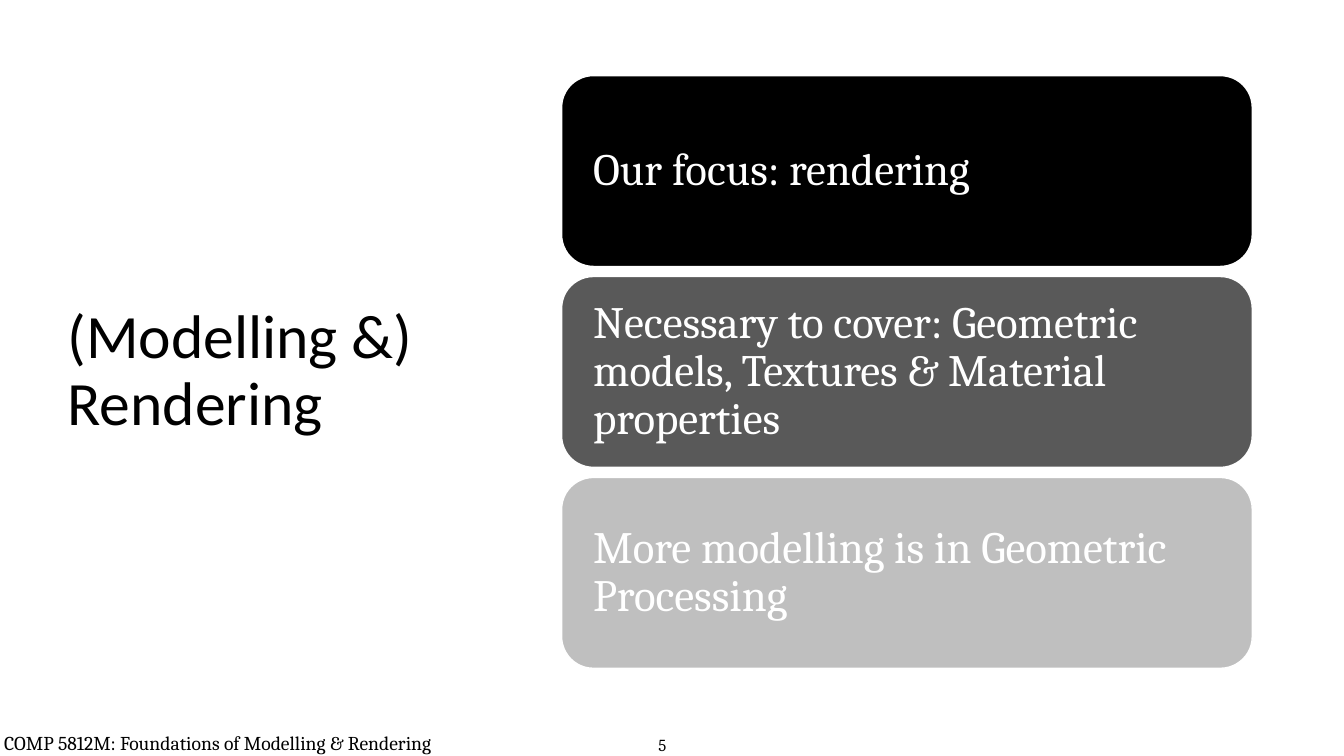
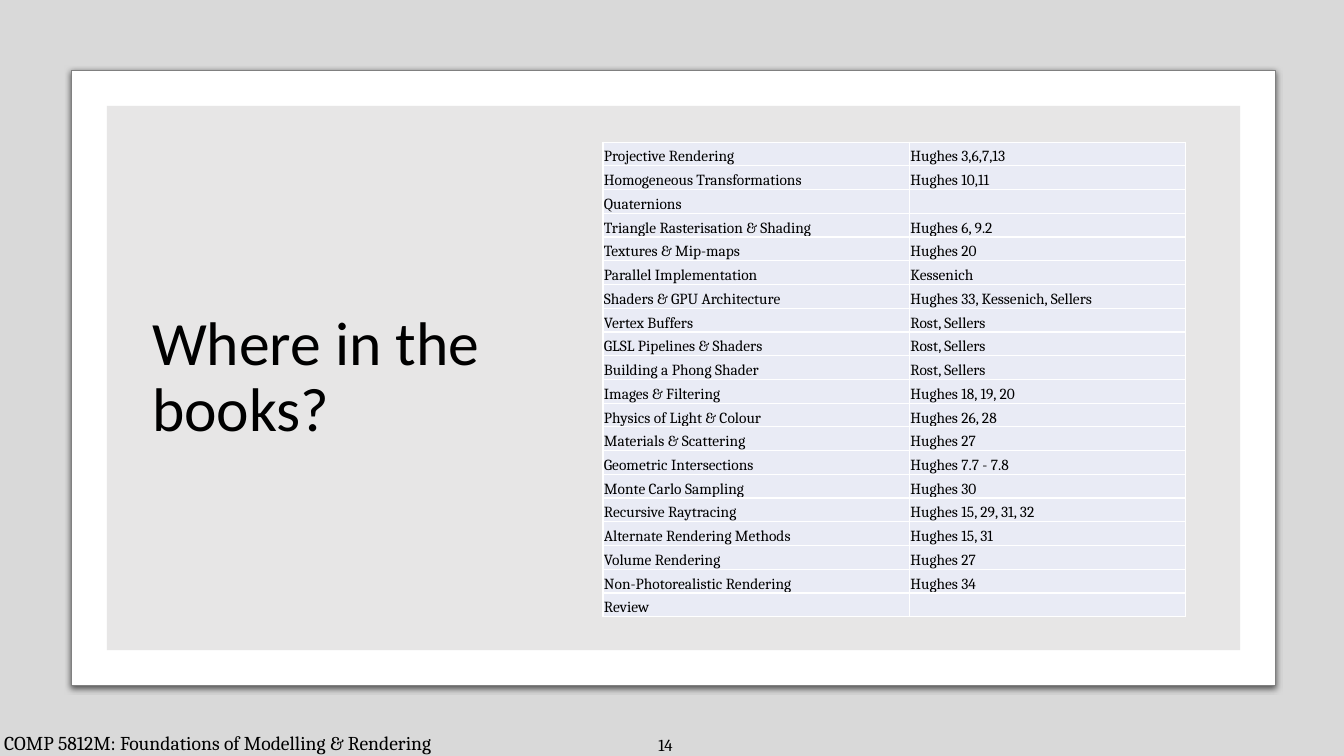
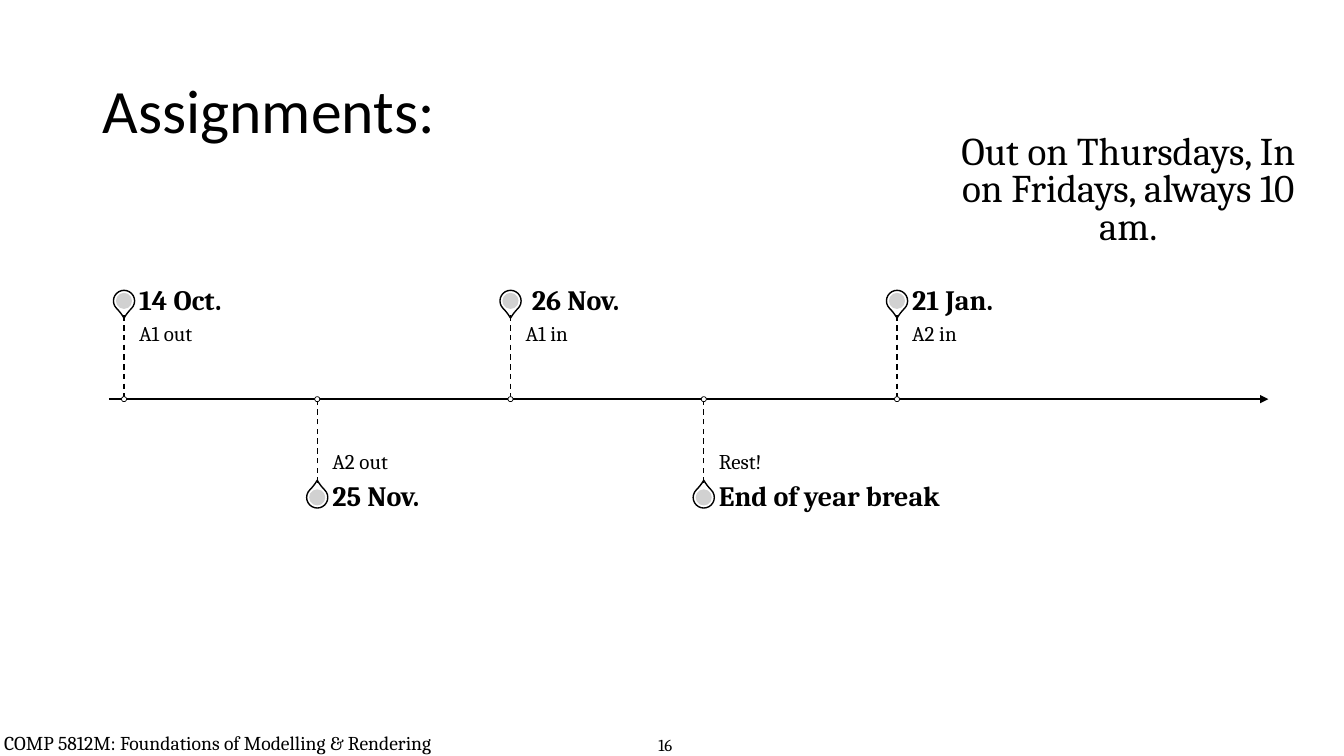
from lxml import etree
from pptx import Presentation
from pptx.dml.color import RGBColor
from pptx.enum.dml import MSO_LINE
from pptx.enum.shapes import MSO_CONNECTOR, MSO_SHAPE
from pptx.enum.text import MSO_ANCHOR, PP_ALIGN
from pptx.oxml import parse_xml
from pptx.oxml.ns import nsdecls, qn
from pptx.util import Inches, Pt

COLORS = {
    "ink": "000000", "paper": "FFFFFF", "dark": "595959", "light": "BFBFBF",
    "panel": "E7E6E6", "outline": "808080", "cell": "E9EBF5", "pin": "CCCCCC",
}
HEADING_FONT, BODY_FONT = "Calibri", "Cambria"
FOOTER = "COMP 5812M: Foundations of Modelling & Rendering"
DEFAULT_INSETS = (0.1, 0.05, 0.1, 0.05)

CARDS = [
    ("Our focus: rendering", "ink"),
    ("Necessary to cover: Geometric models, Textures & Material properties", "dark"),
    ("More modelling is in Geometric Processing", "light"),
]
READINGS = [
    ("Projective Rendering", "Hughes 3,6,7,13"),
    ("Homogeneous Transformations", "Hughes 10,11"),
    ("Quaternions", ""),
    ("Triangle Rasterisation & Shading", "Hughes 6, 9.2"),
    ("Textures & Mip-maps", "Hughes 20"),
    ("Parallel Implementation", "Kessenich"),
    ("Shaders & GPU Architecture", "Hughes 33, Kessenich, Sellers"),
    ("Vertex Buffers", "Rost, Sellers"),
    ("GLSL Pipelines & Shaders", "Rost, Sellers"),
    ("Building a Phong Shader", "Rost, Sellers"),
    ("Images & Filtering", "Hughes 18, 19, 20"),
    ("Physics of Light & Colour", "Hughes 26, 28"),
    ("Materials & Scattering", "Hughes 27"),
    ("Geometric Intersections", "Hughes 7.7 - 7.8"),
    ("Monte Carlo Sampling", "Hughes 30"),
    ("Recursive Raytracing", "Hughes 15, 29, 31, 32"),
    ("Alternate Rendering Methods", "Hughes 15, 31"),
    ("Volume Rendering", "Hughes 27"),
    ("Non-Photorealistic Rendering", "Hughes 34"),
    ("Review", ""),
]
MILESTONES = [
    ("14 Oct.", "A1 out"),
    ("25 Nov.", "A2 out"),
    (" 26 Nov.", "A1 in"),
    ("End of year break", "Rest!"),
    ("21 Jan.", "A2 in"),
]


# Shared helpers
def rgb(name):
    return RGBColor.from_string(COLORS[name])


def inches(*lengths):
    return [Inches(length) for length in lengths]


def write(holder, text, size, color="ink", font=BODY_FONT, bold=False,
          align=PP_ALIGN.LEFT, spacing=None, before=0):
    """Fill a text frame or cell frame with one formatted paragraph."""
    holder.text = text
    paragraph = holder.paragraphs[0]
    paragraph.alignment = align
    paragraph.space_before = Pt(before)
    if spacing:
        paragraph.line_spacing = spacing
    for run in paragraph.runs:
        run.font.name, run.font.size, run.font.bold = font, Pt(size), bold
        run.font.color.rgb = rgb(color)


def set_frame(frame, insets, anchor, wrap=True):
    frame.margin_left, frame.margin_top, frame.margin_right, frame.margin_bottom = inches(*insets)
    frame.vertical_anchor = anchor
    frame.word_wrap = wrap


def add_text(slide, box, text, size, insets=DEFAULT_INSETS,
             anchor=MSO_ANCHOR.TOP, wrap=True, **style):
    frame = slide.shapes.add_textbox(*inches(*box)).text_frame
    set_frame(frame, insets, anchor, wrap)
    write(frame, text, size, **style)


def add_block(slide, kind, box, fill, line=None, width=1, opacity=None):
    shape = slide.shapes.add_shape(kind, *inches(*box))
    shape.shadow.inherit = False
    shape.fill.solid()
    shape.fill.fore_color.rgb = rgb(fill)
    if opacity is not None:
        color = shape._element.spPr.find(qn("a:solidFill"))[0]
        etree.SubElement(color, qn("a:alpha")).set("val", str(opacity * 1000))
    if line:
        shape.line.color.rgb = rgb(line)
        shape.line.width = Pt(width)
    else:
        shape.line.fill.background()
    return shape


def add_line(slide, start, end, width, dash=None):
    line = slide.shapes.add_connector(MSO_CONNECTOR.STRAIGHT, *inches(*start, *end))
    line.line.color.rgb = rgb("ink")
    line.line.width = Pt(width)
    if dash:
        line.line.dash_style = dash
    etree.SubElement(line._element.spPr, qn("a:effectLst"))
    return line


def add_title(slide, box, text):
    add_text(slide, box, text, 44, anchor=MSO_ANCHOR.MIDDLE, font=HEADING_FONT, spacing=0.9)


def add_footer(slide, number):
    add_text(slide, (-0.02, 7.13, 6.31, 0.39), FOOTER, 14, insets=(0.06,) * 4, spacing=Pt(21))
    add_text(slide, (6.49, 7.19, 0.35, 0.33), str(number), 12, insets=(0.04,) * 4,
             anchor=MSO_ANCHOR.MIDDLE, wrap=False, spacing=Pt(19))


# Stack of rounded cards
def add_cards(slide, box, cards, gap=0.1):
    left, top, width, height = box
    card_height = (height - gap * (len(cards) - 1)) / len(cards)
    for index, (text, fill) in enumerate(cards):
        card_top = top + index * (card_height + gap)
        card = add_block(slide, MSO_SHAPE.ROUNDED_RECTANGLE,
                         (left, card_top, width, card_height), fill, "paper")
        set_frame(card.text_frame, (0.22,) * 4, MSO_ANCHOR.MIDDLE)
        write(card.text_frame, text, 32, "paper", spacing=0.9)


# Framed panel on a tinted ground
def add_framed_panel(slide, box, border=0.35):
    left, top, width, height = box
    add_block(slide, MSO_SHAPE.RECTANGLE, (0, 0, 13.33, 7.5), "ink", opacity=15)
    frame = add_block(slide, MSO_SHAPE.ROUNDED_RECTANGLE, box, "paper", "outline", 0.75)
    frame.adjustments[0] = 0
    effects = frame._element.spPr.find(qn("a:effectLst"))
    effects.append(parse_xml(
        f'<a:outerShdw {nsdecls("a")} blurRad="{Pt(4.5)}" dist="{Pt(1.5)}" dir="5400000" '
        f'algn="t" rotWithShape="0"><a:srgbClr val="{COLORS["ink"]}">'
        '<a:alpha val="63000"/></a:srgbClr></a:outerShdw>'))
    add_block(slide, MSO_SHAPE.RECTANGLE,
              (left + border, top + border, width - 2 * border, height - 2 * border), "panel")


# Reading table
def style_cell(cell, text):
    properties = cell._tc.get_or_add_tcPr()
    for side in ("lnL", "lnR", "lnT", "lnB"):
        properties.append(parse_xml(
            f'<a:{side} {nsdecls("a")} w="{Pt(1)}"><a:solidFill>'
            f'<a:srgbClr val="{COLORS["paper"]}"/></a:solidFill></a:{side}>'))
    cell.fill.solid()
    cell.fill.fore_color.rgb = rgb("cell")
    cell.margin_left, cell.margin_top, cell.margin_right, cell.margin_bottom = inches(0.01, 0.01, 0.01, 0)
    cell.vertical_anchor = MSO_ANCHOR.BOTTOM
    write(cell.text_frame, text, 11)
    if not text:  # keeps an empty row from growing
        paragraph = cell.text_frame.paragraphs[0]._p
        etree.SubElement(paragraph, qn("a:endParaRPr")).set("sz", "1100")


def add_reading_table(slide, box, column_widths, rows):
    table = slide.shapes.add_table(len(rows), len(column_widths), *inches(*box)).table
    table.first_row = table.horz_banding = False
    for column, width in zip(table.columns, column_widths):
        column.width = Inches(width)
    for row, texts in zip(table.rows, rows):
        row.height = Inches(box[3] / len(rows))
        for cell, text in zip(row.cells, texts):
            style_cell(cell, text)


# Timeline with pins alternating above and below the axis
def add_centred(slide, kind, x, y, size, *style, **options):
    return add_block(slide, kind, (x - size / 2, y - size / 2, size, size), *style, **options)


def add_milestone(slide, x, axis, date, task, above):
    stem, date_height, text_width = 0.83, 0.29, 3.19
    direction = -1 if above else 1
    pin_y = axis + direction * (stem + date_height / 2)
    text_left = x + 0.15
    drop = add_centred(slide, MSO_SHAPE.TEAR, x, pin_y, 0.21, "paper", "ink")
    drop.adjustments[0] = 1.15
    drop.rotation = 135 if above else 315
    add_centred(slide, MSO_SHAPE.OVAL, x, pin_y, 0.16, "pin", opacity=90)
    add_text(slide, (text_left, axis - stem if above else axis, text_width, stem), task, 15,
             insets=(0, 0.1, 0.1, 0.16) if above else (0, 0.16, 0, 0.1),
             anchor=MSO_ANCHOR.TOP if above else MSO_ANCHOR.BOTTOM, spacing=0.9)
    add_text(slide, (text_left, pin_y - date_height / 2, text_width, date_height), date, 20,
             insets=(0, 0, 0.14, 0), anchor=MSO_ANCHOR.MIDDLE, bold=True, spacing=0.9)
    add_line(slide, (x, axis + direction * stem), (x, axis), 1, MSO_LINE.DASH)
    add_centred(slide, MSO_SHAPE.OVAL, x, axis, 0.05, "paper", "ink", 0.5)


def add_timeline(slide, box, milestones):
    left, top, width, height = box
    axis = top + height / 2
    arrow = add_line(slide, (left, axis), (left + width, axis), 1.5)
    etree.SubElement(arrow.line._get_or_add_ln(), qn("a:tailEnd")).set("type", "triangle")
    step = width / 6
    for index, (date, task) in enumerate(milestones):
        add_milestone(slide, left + 0.15 + index * step, axis, date, task, index % 2 == 0)


# Slides
def build_focus_slide(slide):
    add_title(slide, (0.57, 0.68, 4.16, 6.02), "(Modelling &) Rendering")
    add_cards(slide, (5.57, 0.75, 6.85, 5.88), CARDS)


def build_books_slide(slide):
    add_framed_panel(slide, (0.71, 0.7, 11.94, 6.1))
    add_title(slide, (1.41, 1.4, 3.78, 4.71), "Where in the books?")
    add_reading_table(slide, (5.98, 1.41, 5.78, 4.71), (3.04, 2.74), READINGS)


def build_assignments_slide(slide):
    add_title(slide, (0.92, 0.4, 11.5, 1.45), "Assignments:")
    add_text(slide, (9.42, 1.29, 3.54, 1.29), "Out on Thursdays, In on Fridays, always 10 am.",
             28, align=PP_ALIGN.CENTER, spacing=0.8, before=10)
    add_timeline(slide, (1.08, 2.83, 11.5, 2.26), MILESTONES)


def main():
    presentation = Presentation()
    presentation.slide_width, presentation.slide_height = inches(13.33, 7.5)
    pages = [(5, build_focus_slide), (14, build_books_slide), (16, build_assignments_slide)]
    for number, build in pages:
        slide = presentation.slides.add_slide(presentation.slide_layouts[6])
        add_footer(slide, number)
        build(slide)
    presentation.save("out.pptx")


if __name__ == "__main__":
    main()
